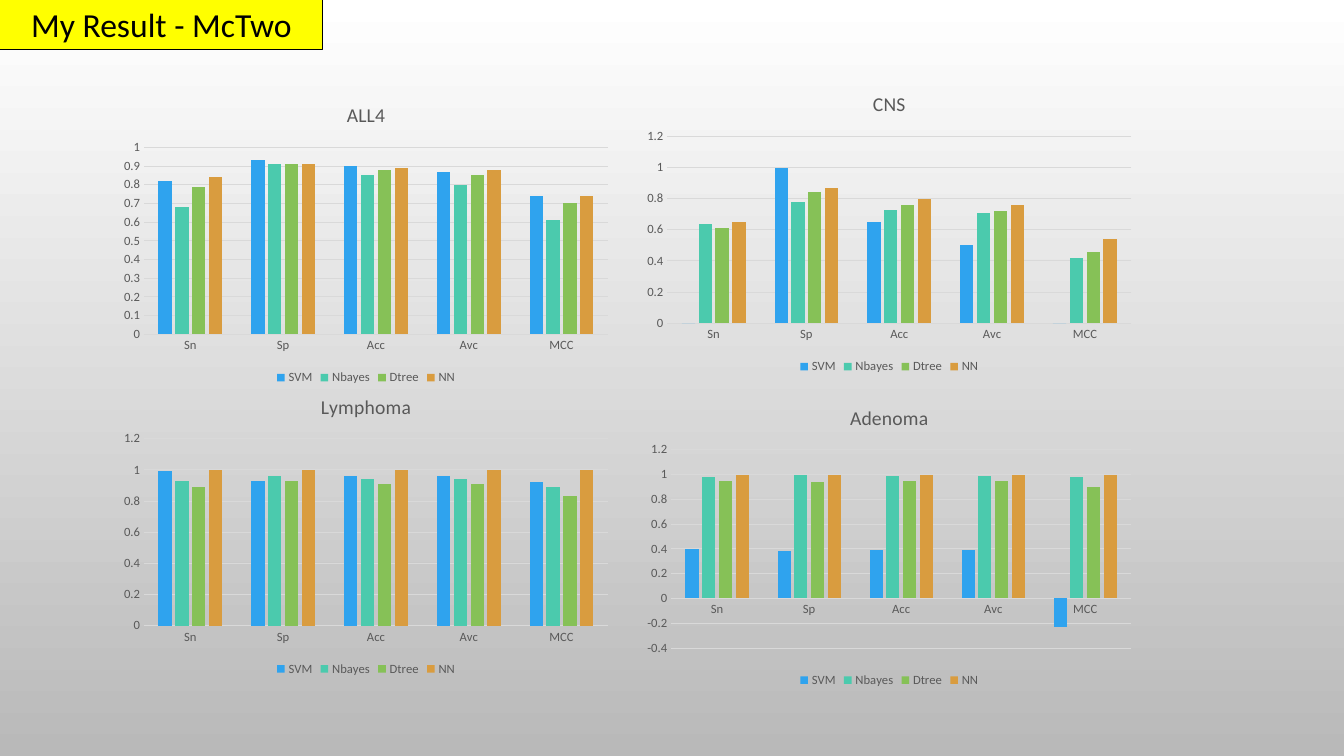
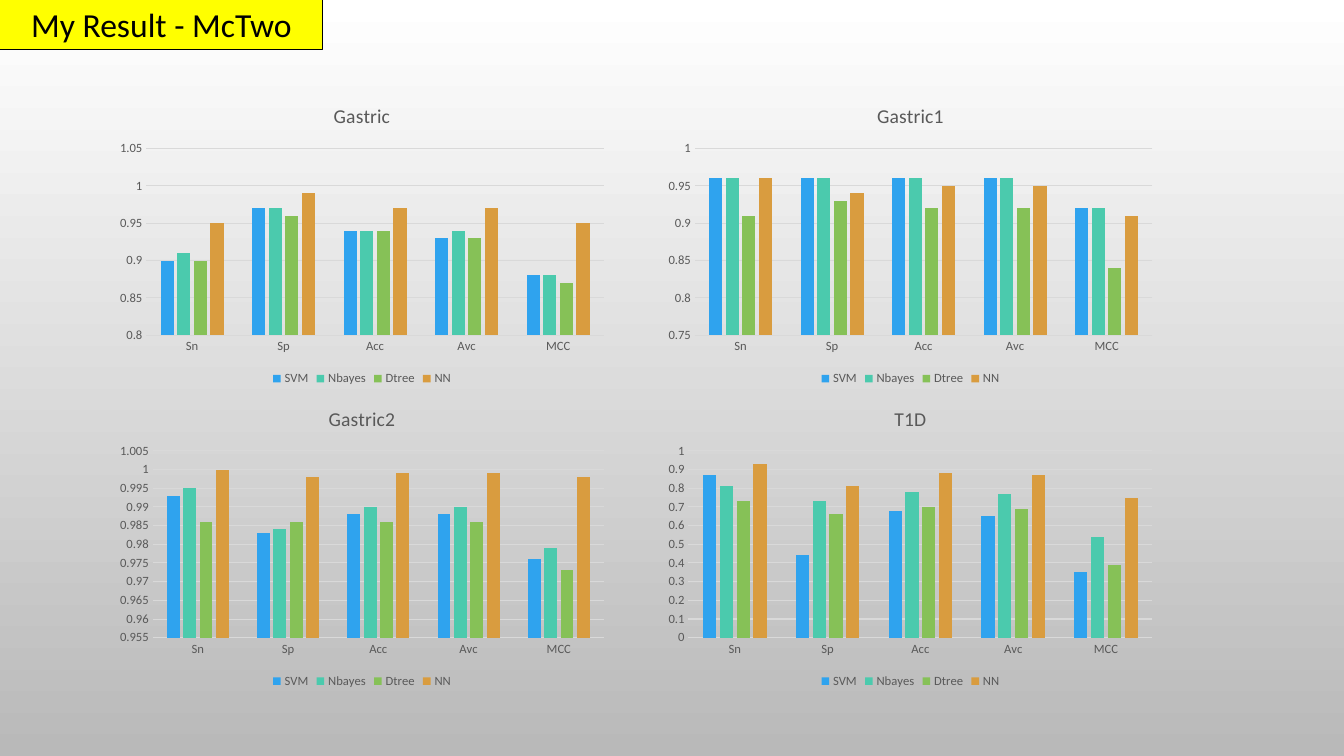
from collections import namedtuple
from dataclasses import dataclass

from pptx import Presentation
from pptx.chart.data import CategoryChartData
from pptx.dml.color import RGBColor
from pptx.enum.chart import XL_CHART_TYPE, XL_LEGEND_POSITION, XL_TICK_MARK
from pptx.enum.shapes import MSO_SHAPE
from pptx.enum.text import MSO_ANCHOR, MSO_AUTO_SIZE, PP_ALIGN
from pptx.oxml import parse_xml
from pptx.util import Inches, Pt

COLUMNS = XL_CHART_TYPE.COLUMN_CLUSTERED
BOTTOM = XL_LEGEND_POSITION.BOTTOM
NO_TICK = XL_TICK_MARK.NONE
RECTANGLE = MSO_SHAPE.RECTANGLE
CENTER = PP_ALIGN.CENTER
MIDDLE = MSO_ANCHOR.MIDDLE
GROW = MSO_AUTO_SIZE.SHAPE_TO_FIT_TEXT

NO_FILL = (
    '<c:spPr xmlns:c="http://schemas.openxmlformats.org/drawingml/2006/chart"'
    ' xmlns:a="http://schemas.openxmlformats.org/drawingml/2006/main">'
    "<a:noFill/><a:ln><a:noFill/></a:ln></c:spPr>"
)


@dataclass(frozen=True)
class Theme:
    """Colours, font and type sizes shared by all slides."""

    font: str = "Calibri"
    ink: str = "000000"
    muted: str = "595959"
    grid: str = "D9D9D9"
    band: str = "FFFF00"
    backdrop: tuple = ("FFFFFF", "B9B9B9")
    series: tuple = ("2FA3EE", "4BCAAD", "86C157", "D99C3F")
    heading_size: int = 24
    chart_title_size: int = 14
    chart_size: int = 10
    label_size: int = 9
    hairline: float = 0.75


THEME = Theme()
HEADING = "My Result - McTwo"
MEASURES = ("Sn", "Sp", "Acc", "Avc", "MCC")
CLASSIFIERS = ("SVM", "Nbayes", "Dtree", "NN")
CHART_WIDTH, CHART_HEIGHT = 5, 3

# Scale is (minimum, maximum, step); scores hold one row per classifier.
Panel = namedtuple("Panel", "title left top scale scores")

SLIDES = (
    (
        Panel("ALL4", 1.13, 0.86, (0, 1, 0.1), (
            (0.82, 0.93, 0.9, 0.87, 0.74),
            (0.68, 0.91, 0.85, 0.8, 0.61),
            (0.79, 0.91, 0.88, 0.85, 0.7),
            (0.84, 0.91, 0.89, 0.88, 0.74))),
        Panel("CNS", 6.32, 0.75, (0, 1.2, 0.2), (
            (0, 1, 0.65, 0.5, 0),
            (0.64, 0.78, 0.73, 0.71, 0.42),
            (0.61, 0.84, 0.76, 0.72, 0.46),
            (0.65, 0.87, 0.8, 0.76, 0.54))),
        Panel("Lymphoma", 1.13, 3.75, (0, 1.2, 0.2), (
            (0.99, 0.93, 0.96, 0.96, 0.92),
            (0.93, 0.96, 0.94, 0.94, 0.89),
            (0.89, 0.93, 0.91, 0.91, 0.83),
            (1, 1, 1, 1, 1))),
        Panel("Adenoma", 6.32, 3.86, (-0.4, 1.2, 0.2), (
            (0.4, 0.38, 0.39, 0.39, -0.23),
            (0.98, 1, 0.99, 0.99, 0.98),
            (0.95, 0.94, 0.95, 0.95, 0.9),
            (1, 1, 1, 1, 1))),
    ),
    (
        Panel("Gastric", 1.09, 0.87, (0.8, 1.05, 0.05), (
            (0.9, 0.97, 0.94, 0.93, 0.88),
            (0.91, 0.97, 0.94, 0.94, 0.88),
            (0.9, 0.96, 0.94, 0.93, 0.87),
            (0.95, 0.99, 0.97, 0.97, 0.95))),
        Panel("Gastric1", 6.53, 0.87, (0.75, 1, 0.05), (
            (0.96, 0.96, 0.96, 0.96, 0.92),
            (0.96, 0.96, 0.96, 0.96, 0.92),
            (0.91, 0.93, 0.92, 0.92, 0.84),
            (0.96, 0.94, 0.95, 0.95, 0.91))),
        Panel("Gastric2", 1.09, 3.87, (0.955, 1.005, 0.005), (
            (0.993, 0.983, 0.988, 0.988, 0.976),
            (0.995, 0.984, 0.99, 0.99, 0.979),
            (0.986, 0.986, 0.986, 0.986, 0.973),
            (1, 0.998, 0.999, 0.999, 0.998))),
        Panel("T1D", 6.53, 3.87, (0, 1, 0.1), (
            (0.87, 0.44, 0.68, 0.65, 0.35),
            (0.81, 0.73, 0.78, 0.77, 0.54),
            (0.73, 0.66, 0.7, 0.69, 0.39),
            (0.93, 0.81, 0.88, 0.87, 0.75))),
    ),
)


def rgb(code):
    """Turn a hex code into a colour."""
    return RGBColor.from_string(code)


def style_font(font, size, color):
    """Give a font the theme face with a size and colour."""
    font.name = THEME.font
    font.size = Pt(size)
    font.bold = False
    font.color.rgb = rgb(color)


def write_text(frame, text, size, color=THEME.ink, align=CENTER):
    """Write one formatted line into a text frame."""
    paragraph = frame.paragraphs[0]
    paragraph.alignment = align
    run = paragraph.add_run()
    run.text = text
    style_font(run.font, size, color)


def style_line(line, color):
    """Draw a thin line in one colour."""
    line.color.rgb = rgb(color)
    line.width = Pt(THEME.hairline)


def paint_backdrop(master):
    """Give every slide the gradient that darkens downwards."""
    fill = master.background.fill
    fill.gradient()
    fill.gradient_angle = 270
    for position, (stop, color) in enumerate(zip(fill.gradient_stops, THEME.backdrop)):
        stop.position = position
        stop.color.rgb = rgb(color)


def add_heading(slide, text):
    """Add the yellow heading band in the top left corner."""
    band = slide.shapes.add_shape(
        RECTANGLE, Inches(0), Inches(-0.01), Inches(3.2), Inches(0.5))
    band.shadow.inherit = False
    band.fill.solid()
    band.fill.fore_color.rgb = rgb(THEME.band)
    style_line(band.line, THEME.ink)
    frame = band.text_frame
    frame.word_wrap = True
    frame.auto_size = GROW
    frame.vertical_anchor = MIDDLE
    write_text(frame, text, size=THEME.heading_size)


def style_axes(chart, scale):
    """Set the look of both axes and the scale of the value axis."""
    for axis in (chart.category_axis, chart.value_axis):
        axis.major_tick_mark = NO_TICK
        axis.minor_tick_mark = NO_TICK
        style_font(axis.tick_labels.font, THEME.label_size, THEME.muted)
    style_line(chart.category_axis.format.line, THEME.grid)
    values = chart.value_axis
    values.minimum_scale, values.maximum_scale, values.major_unit = scale
    values.format.line.fill.background()
    values.has_major_gridlines = True
    style_line(values.major_gridlines.format.line, THEME.grid)


def clear_background(chart):
    """Let the slide show through the chart and its plot area."""
    chart_part = chart._chartSpace.chart
    chart_part.addnext(parse_xml(NO_FILL))
    chart_part.plotArea.append(parse_xml(NO_FILL))


def add_score_chart(slide, panel):
    """Add the column chart of one data set."""
    data = CategoryChartData()
    data.categories = MEASURES
    for classifier, scores in zip(CLASSIFIERS, panel.scores):
        data.add_series(classifier, scores)
    chart = slide.shapes.add_chart(
        COLUMNS, Inches(panel.left), Inches(panel.top),
        Inches(CHART_WIDTH), Inches(CHART_HEIGHT), data).chart
    style_font(chart.font, THEME.chart_size, THEME.ink)
    chart.has_title = True
    write_text(chart.chart_title.text_frame, panel.title,
               size=THEME.chart_title_size, color=THEME.muted)
    chart.has_legend = True
    chart.legend.position = BOTTOM
    chart.legend.include_in_layout = False
    style_font(chart.legend.font, THEME.label_size, THEME.muted)
    style_axes(chart, panel.scale)

    plot = chart.plots[0]
    plot.gap_width = 219
    plot.overlap = -27
    plot.vary_by_categories = False
    for series, color in zip(plot.series, THEME.series):
        series.invert_if_negative = False
        series.format.fill.solid()
        series.format.fill.fore_color.rgb = rgb(color)
    clear_background(chart)


def main():
    """Build the result slides and save them."""
    deck = Presentation()
    deck.slide_width, deck.slide_height = Inches(13.33), Inches(7.5)
    paint_backdrop(deck.slide_master)
    blank = deck.slide_layouts[6]
    for panels in SLIDES:
        slide = deck.slides.add_slide(blank)
        add_heading(slide, HEADING)
        for panel in panels:
            add_score_chart(slide, panel)
    deck.save("out.pptx")


main()
